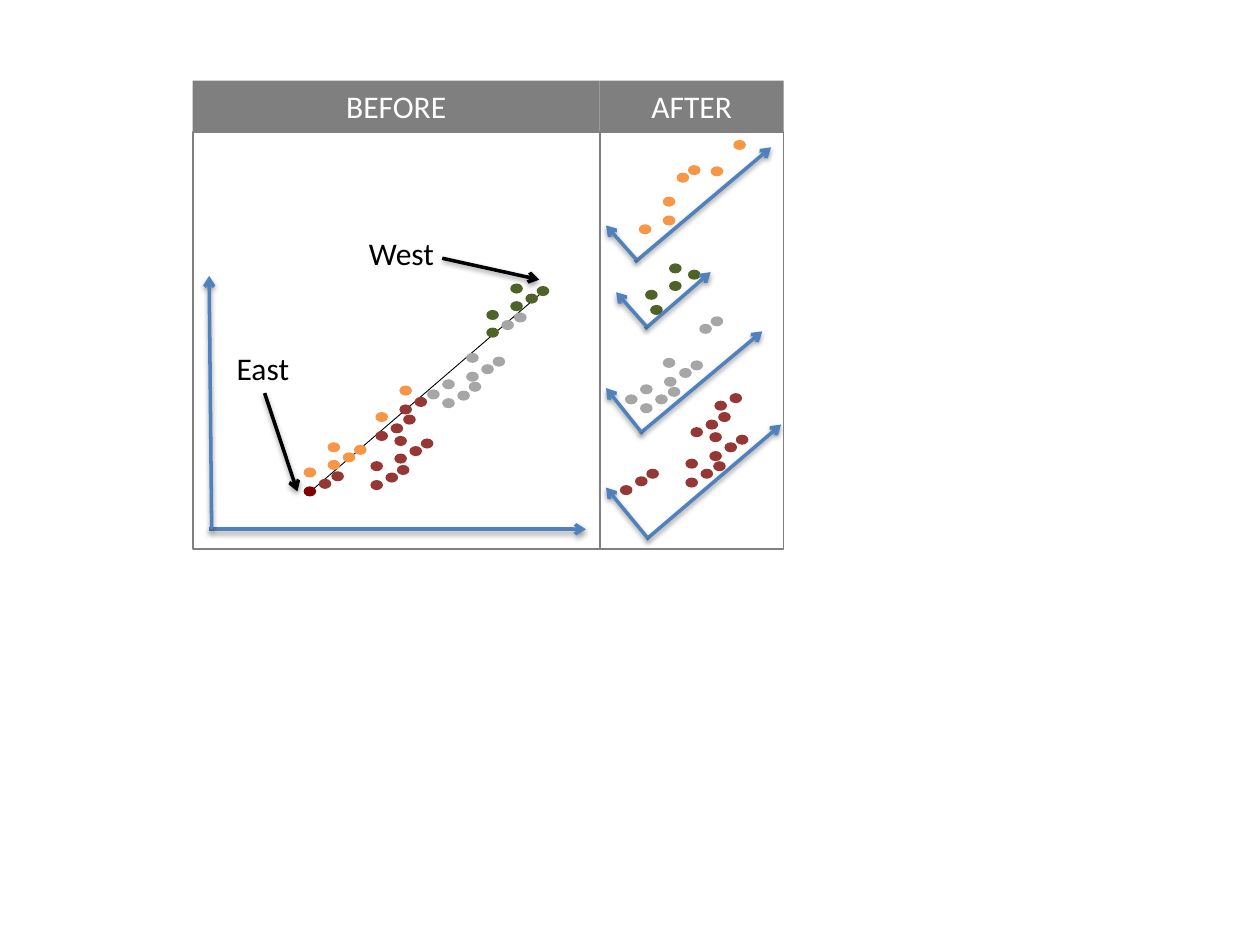
from lxml.etree import SubElement
from pptx import Presentation
from pptx.dml.color import RGBColor
from pptx.enum.shapes import MSO_CONNECTOR, MSO_SHAPE
from pptx.enum.text import MSO_ANCHOR, PP_ALIGN
from pptx.oxml import parse_xml
from pptx.oxml.ns import nsdecls, qn
from pptx.util import Inches, Pt

COLORS = {
    "orange": "F79646", "red": "953735", "grey": "A6A6A6", "green": "4F6228",
    "maroon": "800000", "axis": "4F81BD", "black": "000000", "white": "FFFFFF",
    "head": "7F7F7F", "frame": "808080",
}
HEAD = 0.41  # height of a panel's heading, with its gap
DOT = (0.1, 0.08)
SHADOW = (
    f'<a:effectLst {nsdecls("a")}><a:outerShdw blurRad="39370" dist="20320" '
    'dir="5400000" rotWithShape="0"><a:srgbClr val="000000">'
    '<a:alpha val="38000"/></a:srgbClr></a:outerShdw></a:effectLst>'
)

# Dots: left and top, in inches from the corner of the panel's frame
BEFORE = {
    "orange": [(0.88, 2.66), (1.07, 2.6), (1.07, 2.46), (1.19, 2.54),
               (1.28, 2.48), (1.45, 2.22), (1.64, 2.01)],
    "red": [(1, 2.75), (1.1, 2.69), (1.41, 2.76), (1.41, 2.61), (1.53, 2.7),
            (1.62, 2.64), (1.6, 2.55), (1.6, 2.41), (1.72, 2.49),
            (1.81, 2.43), (1.45, 2.37), (1.57, 2.31), (1.67, 2.24),
            (1.64, 2.16), (1.76, 2.1)],
    "grey": [(1.86, 2.04), (1.98, 2.11), (1.98, 1.96), (2.1, 2.05),
             (2.19, 1.98), (2.17, 1.9), (2.17, 1.75), (2.29, 1.84),
             (2.38, 1.78), (2.45, 1.49), (2.55, 1.43)],
    "green": [(2.33, 1.55), (2.33, 1.41), (2.52, 1.34), (2.52, 1.2),
              (2.64, 1.28), (2.73, 1.22)],
    "maroon": [(0.88, 2.81)],
}
AFTER = {
    "orange": [(0.31, 0.73), (0.5, 0.66), (0.5, 0.51), (0.88, 0.27),
               (1.06, 0.06), (0.61, 0.32), (0.7, 0.26)],
    "green": [(0.36, 1.25), (0.55, 1.18), (0.55, 1.04), (0.4, 1.37),
              (0.7, 1.09)],
    "grey": [(0.2, 2.08), (0.32, 2.15), (0.32, 2), (0.44, 2.08),
             (0.54, 2.02), (0.51, 1.94), (0.5, 1.79), (0.63, 1.87),
             (0.72, 1.81), (0.79, 1.52), (0.88, 1.46)],
    "red": [(0.28, 2.73), (0.37, 2.67), (0.68, 2.74), (0.68, 2.59),
            (0.8, 2.67), (0.9, 2.61), (0.87, 2.53), (0.87, 2.38),
            (0.99, 2.46), (1.08, 2.4), (0.72, 2.34), (0.84, 2.28),
            (0.94, 2.22), (0.91, 2.13), (1.03, 2.07), (0.16, 2.8)],
}
# Tilted axes of each cluster: start and end of the long and the short arrow
AXES = {
    "orange": [(0.28, 1.03, 1.36, 0.12), (0.29, 1.01, 0.05, 0.74)],
    "green": [(0.36, 1.56, 0.88, 1.11), (0.37, 1.54, 0.13, 1.27)],
    "grey": [(0.32, 2.39, 1.29, 1.58), (0.33, 2.38, 0.05, 2.03)],
    "red": [(0.37, 3.23, 1.44, 2.32), (0.38, 3.22, 0.05, 2.82)],
}


def color(name):
    return RGBColor.from_string(COLORS[name])


def write(shape, text, tint, align=PP_ALIGN.LEFT):
    frame = shape.text_frame
    frame.text = text
    frame.word_wrap = True
    frame.vertical_anchor = MSO_ANCHOR.TOP
    para = frame.paragraphs[0]
    para.alignment = align
    font = para.runs[0].font
    font.name, font.size = "Calibri", Pt(18)
    font.color.rgb = color(tint)


def add_line(shapes, box, ends, tint, width=2, arrow=True):
    x, y = box[:2]
    x1, y1, x2, y2 = ends
    line = shapes.add_connector(MSO_CONNECTOR.STRAIGHT, Inches(x + x1),
                                Inches(y + y1), Inches(x + x2), Inches(y + y2))
    line.line.color.rgb = color(tint)
    line.line.width = Pt(width)
    props = line._element.spPr
    if arrow:
        SubElement(props.find(qn("a:ln")), qn("a:tailEnd"), type="arrow")
        props.append(parse_xml(SHADOW))
    else:
        SubElement(props, qn("a:effectLst"))


def add_dots(shapes, box, spots, tint, turn=0):
    for x, y in spots:
        dot = shapes.add_shape(MSO_SHAPE.OVAL, Inches(box[0] + x),
                               Inches(box[1] + y), *map(Inches, DOT))
        dot.rotation = turn
        dot.shadow.inherit = False
        dot.fill.solid()
        dot.fill.fore_color.rgb = color(tint)
        dot.line.fill.background()


def add_label(shapes, box, place, text):
    x, y, w, h = place
    label = shapes.add_textbox(Inches(box[0] + x), Inches(box[1] + y),
                               Inches(w), Inches(h))
    write(label, text, "black")


def add_panel(shapes, box, title):
    x, y, w, h = box
    frame = shapes.add_shape(MSO_SHAPE.RECTANGLE, *map(Inches, box))
    frame.shadow.inherit = False
    frame.fill.background()
    frame.line.color.rgb = color("frame")
    frame.line.width = Pt(1)
    head = shapes.add_shape(MSO_SHAPE.RECTANGLE, Inches(x), Inches(y - HEAD),
                            Inches(w), Inches(0.4))
    head.shadow.inherit = False
    head.fill.solid()
    head.fill.fore_color.rgb = color("head")
    head.line.fill.background()
    write(head, title, "white", PP_ALIGN.CENTER)


def add_before(shapes, box):
    # Trend line and axes
    add_line(shapes, box, (0.9, 2.88, 2.75, 1.29), "black", 0.5, False)
    add_line(shapes, box, (0.13, 3.15, 3.12, 3.15), "axis")
    add_line(shapes, box, (0.15, 3.15, 0.13, 1.14), "axis")
    for tint, spots in BEFORE.items():
        add_dots(shapes, box, spots, tint)
    # Names of the two ends
    add_label(shapes, box, (1.3, 0.76, 0.89, 0.4), "West")
    add_label(shapes, box, (0.25, 1.67, 0.63, 0.4), "East")
    add_line(shapes, box, (0.57, 2.07, 0.83, 2.85), "black")
    add_line(shapes, box, (1.98, 1, 2.75, 1.17), "black")
    add_panel(shapes, box, "BEFORE")


def add_after(shapes, box):
    # One group for each cluster with its own axes
    for tint, spots in AFTER.items():
        group = shapes.add_group_shape().shapes
        add_dots(group, box, spots, tint, 359)
        for ends in AXES[tint]:
            add_line(group, box, ends, "axis")
    add_panel(shapes, box, "AFTER")


def main():
    deck = Presentation()
    deck.slide_width, deck.slide_height = Inches(10), Inches(7.5)
    shapes = deck.slides.add_slide(deck.slide_layouts[6]).shapes
    add_before(shapes, (1.53, 1.05, 3.23, 3.31))
    add_after(shapes, (4.76, 1.05, 1.46, 3.31))
    deck.save("out.pptx")


if __name__ == "__main__":
    main()
